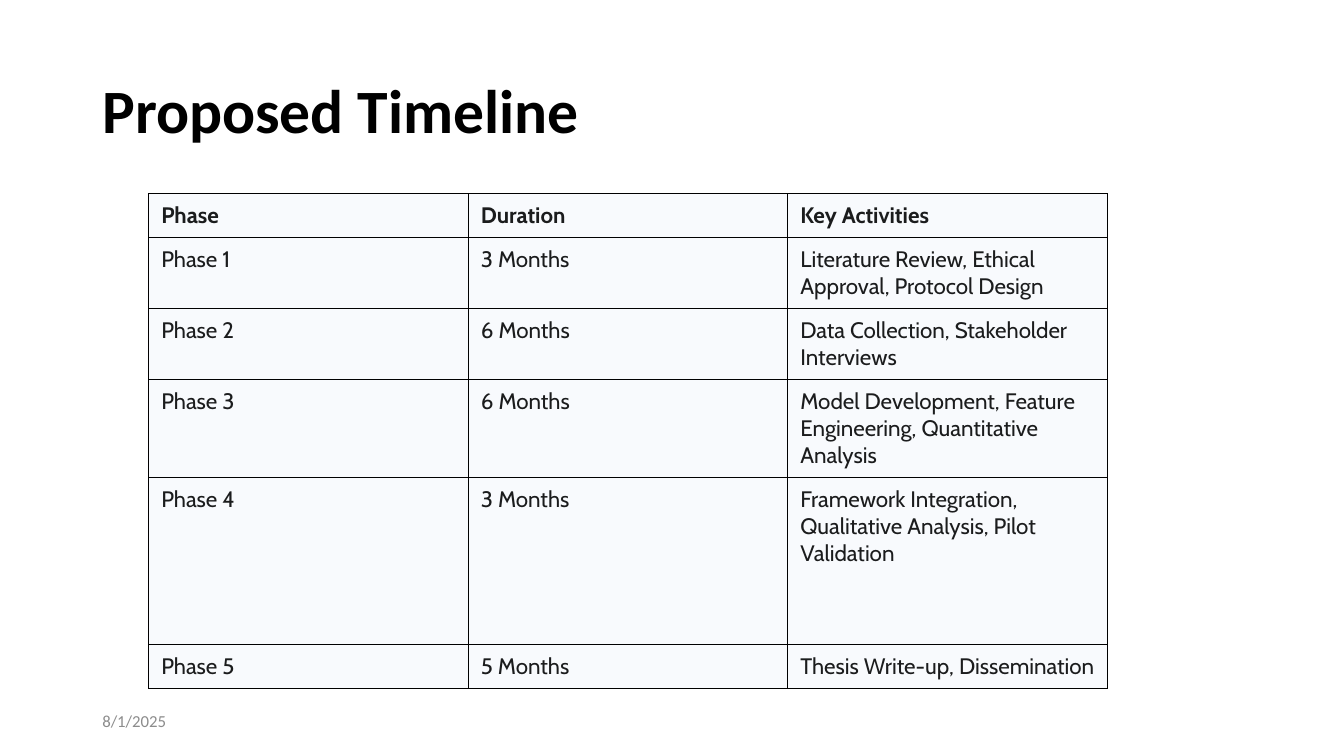
from lxml import etree
from pptx import Presentation
from pptx.dml.color import RGBColor
from pptx.enum import text
from pptx.oxml import ns
from pptx.util import Pt

BLACK = RGBColor(0x00, 0x00, 0x00)
GREY = RGBColor(0x8C, 0x8C, 0x8C)
INK = RGBColor(0x1B, 0x1C, 0x1D)
PALE = RGBColor(0xF8, 0xFA, 0xFD)

COL_WIDTH = 228.25
ROW_HEIGHTS = [31.4, 50.7, 50.7, 70, 119.3, 31.4]
TIMELINE = [
    ("Phase", "Duration", "Key Activities"),
    ("Phase 1", "3 Months", "Literature Review, Ethical Approval, Protocol Design"),
    ("Phase 2", "6 Months", "Data Collection, Stakeholder Interviews"),
    ("Phase 3", "6 Months",
     "Model Development, Feature Engineering, Quantitative Analysis"),
    ("Phase 4", "3 Months",
     "Framework Integration, Qualitative Analysis, Pilot Validation"),
    ("Phase 5", "5 Months", "Thesis Write-up, Dissemination"),
]


def add_run(p, words, font, size, color, bold=False):
    r = p.add_run()
    r.text = words
    r.font.name = font
    r.font.size = Pt(size)
    r.font.bold = bold
    r.font.color.rgb = color


def add_label(s, box, words, size, color, bold=False, spacing=1.0):
    sp = s.shapes.add_textbox(*map(Pt, box))
    tf = sp.text_frame
    tf.word_wrap = True
    tf.vertical_anchor = text.MSO_ANCHOR.MIDDLE
    p = tf.paragraphs[0]
    p.line_spacing = spacing
    add_run(p, words, "Calibri", size, color, bold)


def add_borders(cell, color, width):
    """Line all four sides; borders must precede the fill in tcPr."""
    tcPr = cell._tc.get_or_add_tcPr()
    for i, side in enumerate(("a:lnL", "a:lnR", "a:lnT", "a:lnB")):
        ln = etree.Element(ns.qn(side), w=str(Pt(width)))
        fill = etree.SubElement(ln, ns.qn("a:solidFill"))
        etree.SubElement(fill, ns.qn("a:srgbClr"), val=str(color))
        tcPr.insert(i, ln)


def fill_cell(cell, words, bold):
    cell.margin_left = cell.margin_right = Pt(9)
    cell.margin_top = cell.margin_bottom = Pt(6)
    cell.fill.solid()
    cell.fill.fore_color.rgb = PALE
    add_borders(cell, BLACK, 0.75)
    add_run(cell.text_frame.paragraphs[0], words, "Cabin", 16, INK, bold)


def add_timeline(s, left, top):
    cols = len(TIMELINE[0])
    table = s.shapes.add_table(
        len(TIMELINE), cols, Pt(left), Pt(top),
        Pt(cols * COL_WIDTH), Pt(sum(ROW_HEIGHTS))).table
    table.horz_banding = False
    for col in table.columns:
        col.width = Pt(COL_WIDTH)
    for i, (height, row) in enumerate(zip(ROW_HEIGHTS, TIMELINE)):
        table.rows[i].height = Pt(height)
        for j, words in enumerate(row):
            fill_cell(table.cell(i, j), words, bold=i == 0)


def main():
    prs = Presentation()
    prs.slide_width, prs.slide_height = Pt(960), Pt(540)
    s = prs.slides.add_slide(prs.slide_layouts[6])
    add_label(s, (66, 28.75, 828, 104.4), "Proposed Timeline", 44, BLACK,
              bold=True, spacing=0.9)
    add_label(s, (66, 500.5, 216, 28.75), "8/1/2025", 12, GREY)
    add_timeline(s, 106.25, 138.25)
    prs.save("out.pptx")


if __name__ == "__main__":
    main()
